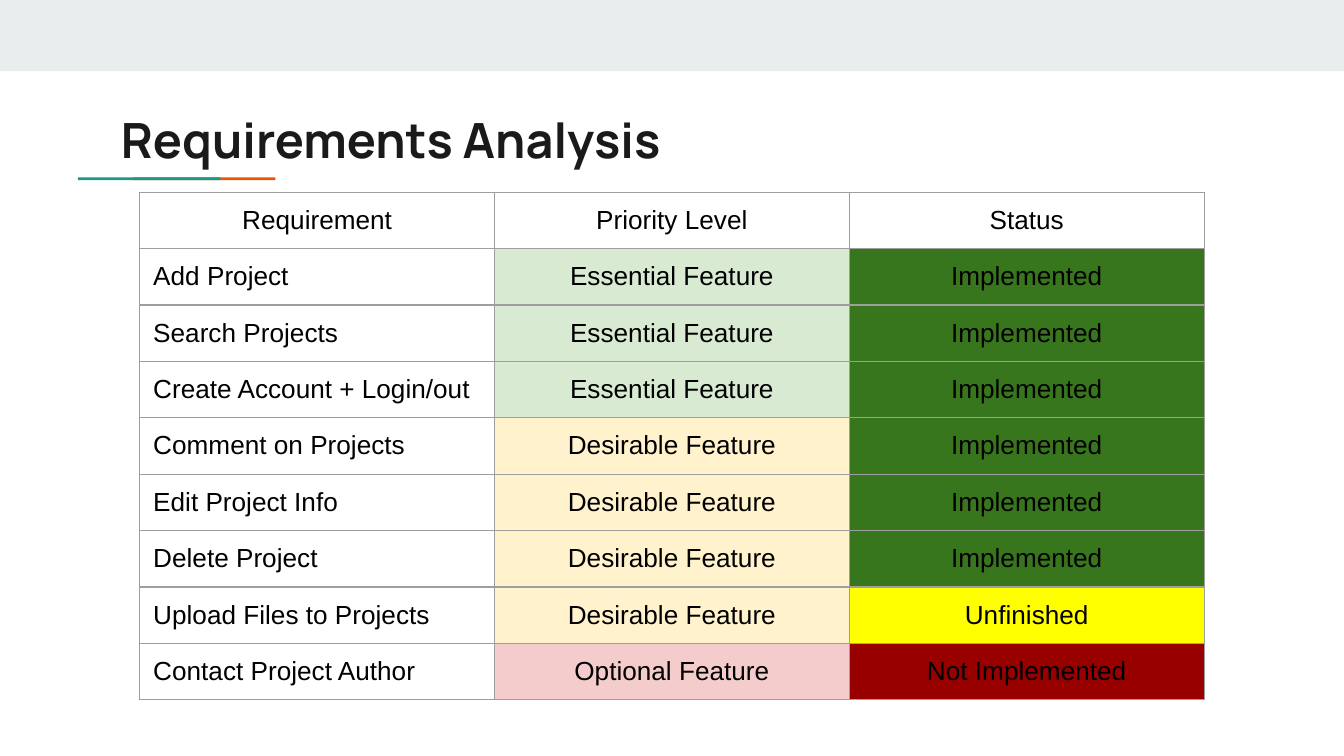
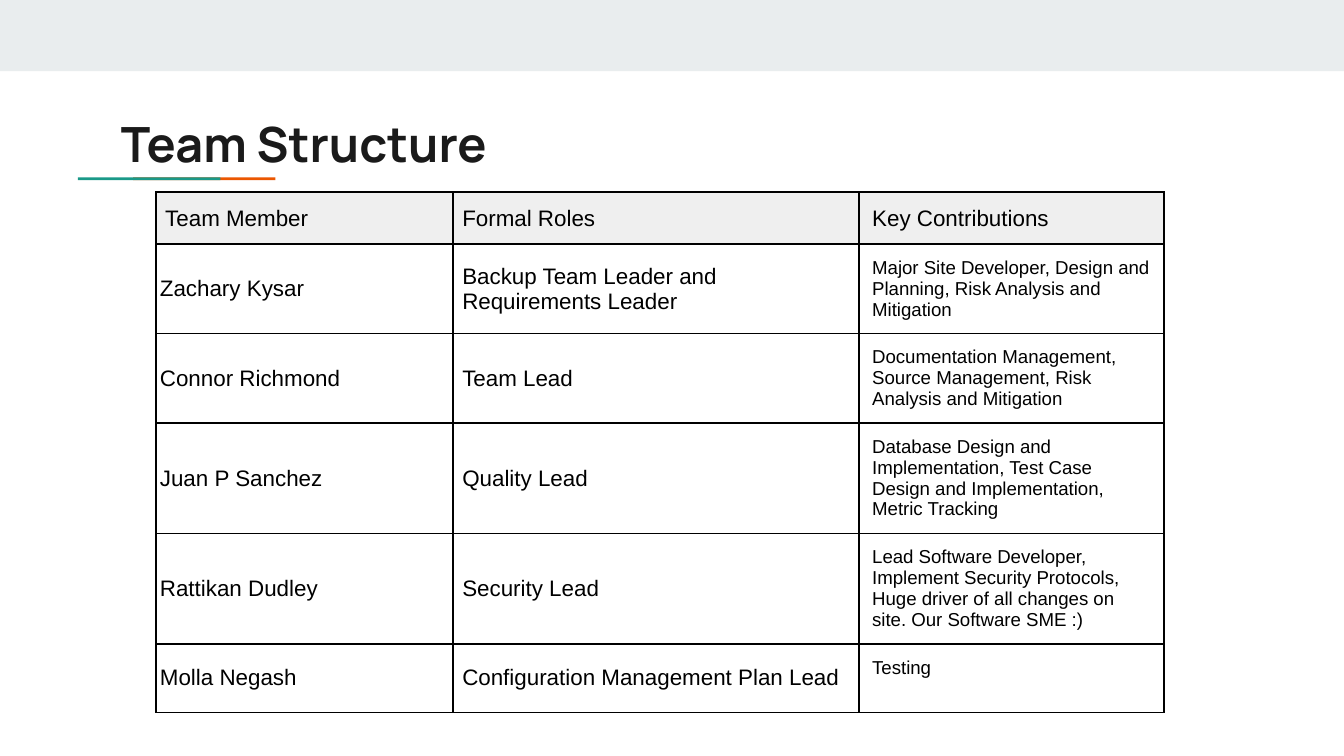
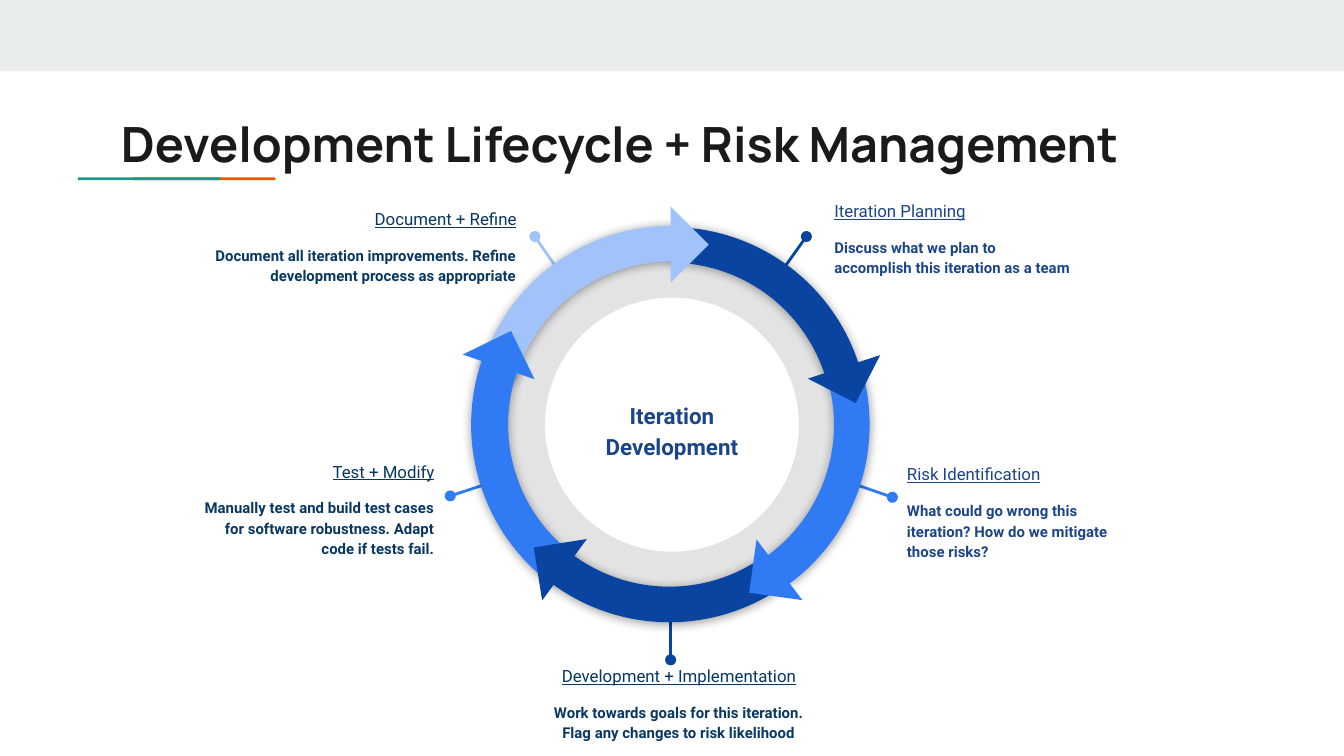
from dataclasses import dataclass
from typing import Optional

from lxml import etree
from pptx import Presentation, util as u
from pptx.dml.color import RGBColor
from pptx.enum import shapes, text
from pptx.oxml.ns import qn

COLORS = {
    "band": "E9EDEE", "orange": "EB5600", "teal": "1A9988", "title": "1A1A1A",
    "black": "000000", "grey": "9E9E9E", "header": "EFEFEF",
    "essential": "D9EAD3", "desirable": "FFF2CC", "optional": "F4CCCC",
    "done": "38761D", "unfinished": "FFFF00", "missing": "980000",
    "navy": "0944A1", "blue": "307BF3", "sky": "A1C3FA",
    "label": "1C4587", "dark_label": "073763",
}
SLIDE_WIDTH = 10
SLIDE_HEIGHT = SLIDE_WIDTH * 9 / 16
LEFT, CENTER, RIGHT = text.PP_ALIGN.LEFT, text.PP_ALIGN.CENTER, text.PP_ALIGN.RIGHT
TOP, MIDDLE = text.MSO_ANCHOR.TOP, text.MSO_ANCHOR.MIDDLE
SHAPE = shapes.MSO_SHAPE


@dataclass
class CellStyle:
    size: float
    align: text.PP_ALIGN = LEFT
    anchor: text.MSO_ANCHOR = TOP
    margin_x: float = 0.1
    margin_y: float = 0.1


@dataclass
class Cell:
    words: str
    style: CellStyle
    fill: Optional[str] = None


@dataclass
class Callout:
    heading: str
    body: str
    box: tuple[float, float, float, float]
    align: text.PP_ALIGN
    color: str
    dot: tuple[float, float]
    ring_point: tuple[float, float]
    line_color: str


@dataclass
class Arc:
    """A ring segment; start and end are degrees before rotation and flip."""
    left: float
    top: float
    size: float
    rotation: float
    flipped: bool
    start: float
    end: float
    thickness: float
    color: str
    outlined: bool = False


@dataclass
class ArrowTip:
    left: float
    top: float
    rotation: float
    color: str


def rgb(name: str) -> RGBColor:
    return RGBColor.from_string(COLORS[name])


def add_shape(slide, kind, left: float, top: float, width: float, height: float, color: str):
    shape = slide.shapes.add_shape(
        kind, u.Inches(left), u.Inches(top), u.Inches(width), u.Inches(height))
    shape.fill.solid()
    shape.fill.fore_color.rgb = rgb(color)
    shape.line.fill.background()
    shape.shadow.inherit = False
    return shape


def set_font(font, name: str, size: float, color: str, bold: bool = False) -> None:
    font.name, font.size, font.bold = name, u.Pt(size), bold
    font.color.rgb = rgb(color)


def add_titled_slide(presentation, words: str, top: float = 0.75):
    """Add a slide with the shared band, two-coloured rule and title."""
    slide = presentation.slides.add_slide(presentation.slide_layouts[5])
    add_shape(slide, SHAPE.RECTANGLE, 0, 0, SLIDE_WIDTH, 0.53, "band")
    add_shape(slide, SHAPE.RECTANGLE, 0.99, 1.32, 1.06, 0.02, "orange")
    add_shape(slide, SHAPE.RECTANGLE, 0.58, 1.32, 1.06, 0.02, "teal")
    title = slide.shapes.title
    title.left, title.top = u.Inches(0.8), u.Inches(top)
    title.width, title.height = u.Inches(8.22), u.Inches(0.71)
    frame = title.text_frame
    frame.text = words
    frame.auto_size = text.MSO_AUTO_SIZE.NONE
    frame.vertical_anchor = TOP
    set_margins(frame)
    paragraph = frame.paragraphs[0]
    paragraph.alignment = LEFT
    set_font(paragraph.font, "Manrope", 26, "title", bold=True)
    return slide


def set_margins(target, x: float = 0.1, y: float = 0.1) -> None:
    target.margin_left = target.margin_right = u.Inches(x)
    target.margin_top = target.margin_bottom = u.Inches(y)


def set_borders(cell, color: str, width: float) -> None:
    properties = cell._tc.get_or_add_tcPr()
    for index, side in enumerate(("a:lnL", "a:lnR", "a:lnT", "a:lnB")):
        line = etree.Element(qn(side), w=str(u.Pt(width)))
        fill = etree.SubElement(line, qn("a:solidFill"))
        etree.SubElement(fill, qn("a:srgbClr"), val=COLORS[color])
        properties.insert(index, line)


def add_table(slide, left: float, top: float, widths: list[float], heights: list[float],
              rows: list[list[Cell]], border: str, border_width: float) -> None:
    table = slide.shapes.add_table(
        len(rows), len(widths), u.Inches(left), u.Inches(top),
        u.Inches(sum(widths)), u.Inches(sum(heights))).table
    table.first_row = table.horz_banding = False
    for column, width in zip(table.columns, widths):
        column.width = u.Inches(width)
    for row, height, contents in zip(table.rows, heights, rows):
        row.height = u.Inches(height)
        for cell, content in zip(row.cells, contents):
            style = content.style
            cell.text = content.words
            cell.vertical_anchor = style.anchor
            set_margins(cell, style.margin_x, style.margin_y)
            paragraph = cell.text_frame.paragraphs[0]
            paragraph.alignment = style.align
            set_font(paragraph.font, "Arial", style.size, "black")
            if content.fill:
                cell.fill.solid()
                cell.fill.fore_color.rgb = rgb(content.fill)
            else:
                cell.fill.background()
            set_borders(cell, border, border_width)


def add_text_box(slide, box: tuple[float, float, float, float], lines: list[str],
                 align: text.PP_ALIGN, anchor: text.MSO_ANCHOR = TOP):
    frame = slide.shapes.add_textbox(*map(u.Inches, box)).text_frame
    frame.word_wrap = True
    frame.vertical_anchor = anchor
    set_margins(frame)
    frame.text = "\n".join(lines)
    for paragraph in frame.paragraphs:
        paragraph.alignment = align
        paragraph.line_spacing = 1.15
    return frame.paragraphs


def add_callout(slide, callout: Callout) -> None:
    connector = slide.shapes.add_connector(
        shapes.MSO_CONNECTOR.STRAIGHT,
        *map(u.Inches, callout.dot + callout.ring_point))
    connector.line.color.rgb = rgb(callout.line_color)
    connector.line.width = u.Pt(1.5)
    etree.SubElement(connector.line._get_or_add_ln(), qn("a:headEnd"), type="oval")
    etree.SubElement(connector._element.spPr, qn("a:effectLst"))
    heading, body = add_text_box(
        slide, callout.box, [callout.heading, callout.body], callout.align)
    set_font(heading.font, "Roboto", 9, callout.color)
    heading.font.underline = True
    heading.space_after = u.Pt(8)
    set_font(body.font, "Roboto", 8, callout.color, bold=True)


def add_alpha(color_element, percent: int) -> None:
    etree.SubElement(color_element, qn("a:alpha"), val=str(percent * 1000))


def add_arc(slide, arc: Arc) -> None:
    shape = add_shape(slide, SHAPE.BLOCK_ARC, arc.left, arc.top, arc.size, arc.size, arc.color)
    # Angles are stored in 60000ths of a degree, adjustments in 100000ths.
    for index, value in enumerate((arc.start * 0.6, arc.end * 0.6, arc.thickness)):
        shape.adjustments[index] = value
    shape.rotation = arc.rotation
    properties = shape._element.spPr
    if arc.flipped:
        properties.find(qn("a:xfrm")).set("flipH", "1")
    if arc.outlined:
        shape.line.color.rgb = rgb(arc.color)
        shape.line.width = u.Pt(0.75)
    shadow = etree.SubElement(
        properties.find(qn("a:effectLst")), qn("a:outerShdw"), blurRad=str(u.Pt(5.6)),
        dist=str(u.Pt(0.8)), dir=str(90 * 60000), algn="bl", rotWithShape="0")
    add_alpha(etree.SubElement(shadow, qn("a:srgbClr"), val=COLORS["black"]), 40)


def add_arrow_tip(slide, tip: ArrowTip) -> None:
    shape = add_shape(slide, SHAPE.RIGHT_TRIANGLE, tip.left, tip.top, 0.4, 0.4, tip.color)
    shape.rotation = tip.rotation


REQUIREMENTS = [
    ("Add Project", "Essential", "Implemented"),
    ("Search Projects", "Essential", "Implemented"),
    ("Create Account + Login/out", "Essential", "Implemented"),
    ("Comment on Projects", "Desirable", "Implemented"),
    ("Edit Project Info", "Desirable", "Implemented"),
    ("Delete Project", "Desirable", "Implemented"),
    ("Upload Files to Projects", "Desirable", "Unfinished"),
    ("Contact Project Author", "Optional", "Not Implemented"),
]
STATUS_COLORS = {"Implemented": "done", "Unfinished": "unfinished", "Not Implemented": "missing"}

TEAM = [
    ("Zachary Kysar", "Backup Team Leader and Requirements Leader",
     "Major Site Developer, Design and Planning, Risk Analysis and Mitigation"),
    ("Connor Richmond", "Team Lead",
     "Documentation Management, Source Management, Risk Analysis and Mitigation"),
    ("Juan P Sanchez", "Quality Lead",
     "Database Design and Implementation, Test Case Design and Implementation, Metric Tracking"),
    ("Rattikan Dudley", "Security Lead",
     "Lead Software Developer, Implement Security Protocols, "
     "Huge driver of all changes on site. Our Software SME :)"),
    ("Molla Negash", "Configuration Management Plan Lead", "Testing"),
]

CALLOUTS = [
    Callout("Iteration Planning", "Discuss what we plan to accomplish this iteration as a team",
            (6.11, 1.37, 1.97, 0.73), LEFT, "label", (6, 1.76), (5.7, 2.18), "navy"),
    Callout("Document + Refine",
            "Document all iteration improvements. Refine development process as appropriate",
            (1.42, 1.43, 2.52, 0.88), RIGHT, "dark_label", (3.98, 1.76), (4.27, 2.18), "sky"),
    Callout("Risk Identification",
            "What could go wrong this iteration? How do we mitigate those risks?",
            (6.65, 3.33, 1.93, 0.73), LEFT, "label", (6.64, 3.7), (6.15, 3.53), "blue"),
    Callout("Test + Modify",
            "Manually test and build test cases for software robustness. Adapt code if tests fail.",
            (1.31, 3.31, 2.02, 0.73), RIGHT, "dark_label", (3.35, 3.69), (3.84, 3.53), "blue"),
    Callout("Development + Implementation",
            "Work towards goals for this iteration. Flag any changes to risk likelihood",
            (3.94, 4.83, 2.22, 0.73), CENTER, "dark_label", (4.99, 4.91), (4.99, 4.37), "navy"),
]

# Back to front: each arrow tip overlaps the arc that follows it round the ring.
ARCS_BEHIND = [
    Arc(3.52, 1.69, 2.94, 30, False, 240.24, 316.64, 0.09, "navy"),
    Arc(3.53, 1.69, 2.94, 210, True, 336.31, 43.73, 0.09, "blue"),
]
ARCS_AND_TIPS = [
    ArrowTip(6.08, 2.53, 297, "navy"),
    Arc(3.52, 1.68, 2.95, 330, True, 238.9, 314.25, 0.09, "sky"),
    Arc(3.51, 1.69, 2.94, 150, False, 336.41, 50.12, 0.09, "blue", outlined=True),
    Arc(3.51, 1.69, 2.94, 210, True, 262.31, 333.47, 0.09, "navy"),
    ArrowTip(3.51, 2.53, 154, "blue"),
    ArrowTip(5.6, 4.04, 7.9, "blue"),
    ArrowTip(4, 4.04, 81, "navy"),
    ArrowTip(4.79, 1.62, 225, "sky"),
]


def build_requirements(presentation) -> None:
    slide = add_titled_slide(presentation, "Requirements Analysis", top=0.72)
    plain, centered = CellStyle(14), CellStyle(14, CENTER)
    rows = [[Cell(words, centered) for words in ("Requirement", "Priority Level", "Status")]]
    rows += [[Cell(name, plain),
              Cell(f"{priority} Feature", centered, priority.lower()),
              Cell(status, centered, STATUS_COLORS[status])]
             for name, priority, status in REQUIREMENTS]
    add_table(slide, 1.04, 1.43, [2.64] * 3, [0.42] * len(rows), rows, "grey", 0.75)


def build_team(presentation) -> None:
    slide = add_titled_slide(presentation, "Team Structure")
    role = CellStyle(12, anchor=MIDDLE, margin_x=0.07, margin_y=0.07)
    member = CellStyle(12, anchor=MIDDLE, margin_x=0.03, margin_y=0)
    last_header = CellStyle(12, anchor=MIDDLE)
    contribution = CellStyle(10)
    rows = [[Cell("Team Member", role, "header"), Cell("Formal Roles", role, "header"),
             Cell("Key Contributions", last_header, "header")]]
    rows += [[Cell(words, style) for words, style in zip(person, (member, role, contribution))]
             for person in TEAM]
    add_table(slide, 1.16, 1.43, [2.21, 3.02, 2.27],
              [0.36, 0.63, 0.46, 0.46, 0.46, 0.51], rows, "black", 1)


def build_lifecycle(presentation) -> None:
    slide = add_titled_slide(presentation, "Development Lifecycle + Risk Management")
    ring = add_shape(slide, SHAPE.DONUT, 3.61, 1.77, 2.78, 2.78, "black")
    ring.adjustments[0] = 0.16
    add_alpha(ring._element.spPr.find(qn("a:solidFill"))[0], 11)
    for callout in CALLOUTS:
        add_callout(slide, callout)
    for arc in ARCS_BEHIND:
        add_arc(slide, arc)
    center = add_text_box(
        slide, (4.21, 2.75, 1.58, 0.88), ["Iteration Development"], CENTER, MIDDLE)
    set_font(center[0].font, "Roboto", 12, "label", bold=True)
    for part in ARCS_AND_TIPS:
        if isinstance(part, Arc):
            add_arc(slide, part)
        else:
            add_arrow_tip(slide, part)


def main() -> None:
    presentation = Presentation()
    presentation.slide_width = u.Inches(SLIDE_WIDTH)
    presentation.slide_height = u.Inches(SLIDE_HEIGHT)
    build_requirements(presentation)
    build_team(presentation)
    build_lifecycle(presentation)
    presentation.save("out.pptx")


if __name__ == "__main__":
    main()
